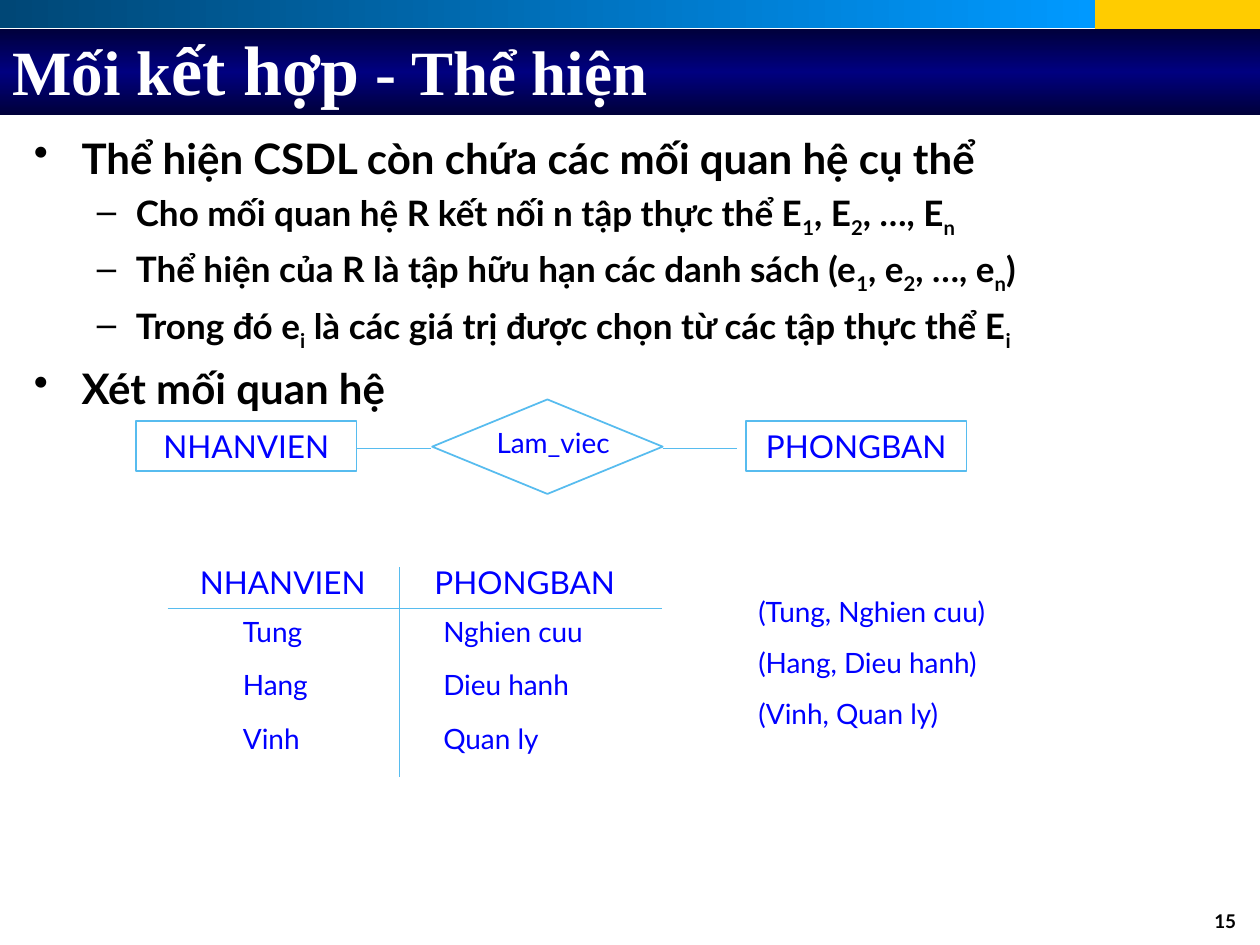
import copy
from dataclasses import dataclass
from typing import Any

import lxml.etree
import pptx
import pptx.dml.color
import pptx.enum.shapes
import pptx.enum.text
import pptx.oxml.ns
import pptx.util

Inches = pptx.util.Inches
Pt = pptx.util.Pt
RGBColor = pptx.dml.color.RGBColor
Shape = pptx.enum.shapes.MSO_SHAPE
Align = pptx.enum.text.PP_ALIGN
Anchor = pptx.enum.text.MSO_ANCHOR
qn = pptx.oxml.ns.qn

BLACK = RGBColor(0, 0, 0)
WHITE = RGBColor(255, 255, 255)
BLUE = RGBColor(0, 0, 255)
SKY = RGBColor(0x57, 0xBC, 0xEF)
GOLD = RGBColor(0xFF, 0xCC, 0)
TEAL = RGBColor(0, 0x47, 0x76)
AZURE = RGBColor(0, 0x99, 0xFF)
NIGHT = RGBColor(0, 0, 0x3B)
NAVY = RGBColor(0, 0, 0x80)

LATO = {"name": "Lato", "bold": False}
HEAD = {**LATO, "size": Pt(18)}
CELL = {**LATO, "size": Pt(16)}
TITLE = {"name": "Times New Roman", "size": Pt(36), "bold": True}
PAGE = {"name": "Lato", "size": Pt(10.8), "bold": True}


@dataclass
class Box:
    x: float
    y: float
    w: float
    h: float

    def frame(self) -> list:
        return [Inches(v) for v in (self.x, self.y, self.w, self.h)]


@dataclass
class Level:
    mark: str
    left: float
    hang: float
    gap: int
    size: int


@dataclass
class Point:
    level: int
    text: str


LEVELS = [Level("•", 0.38, 0.38, 6, 24), Level("–", 0.81, 0.31, 5, 20)]
POINTS = [
    Point(0, "Thể hiện CSDL còn chứa các mối quan hệ cụ thể"),
    Point(1, "Cho mối quan hệ R kết nối n tập thực thể E|1|, E|2|, …, E|n"),
    Point(1, "Thể hiện của R là tập hữu hạn các danh sách (e|1|, e|2|, …, e|n|)"),
    Point(1, "Trong đó e|i| là các giá trị được chọn từ các tập thực thể E|i"),
    Point(0, "Xét mối quan hệ"),
]
ROWS = [("Tung", "Nghien cuu"), ("Hang", "Dieu hanh"), ("Vinh", "Quan ly")]
TOPS = [4.83, 5.25, 5.68]


def style(font: Any, form: dict, color: RGBColor) -> None:
    for key, value in form.items():
        setattr(font, key, value)
    font.color.rgb = color


def add_run(para: Any, text: str, form: dict, color: RGBColor) -> Any:
    run = para.add_run()
    run.text = text
    style(run.font, form, color)
    return run


def add_text(parent: Any, box: Box) -> Any:
    frame = parent.add_textbox(*box.frame()).text_frame
    frame.word_wrap = True
    return frame


def write(frame: Any, lines: list, form: dict, color: RGBColor = BLUE,
          align: Any = Align.LEFT) -> None:
    for i, line in enumerate(lines):
        para = frame.add_paragraph() if i else frame.paragraphs[0]
        para.alignment = align
        if i:
            para.space_before = Pt(10)
        add_run(para, line, form, color)


def add_shape(parent: Any, kind: Any, box: Box) -> Any:
    shape = parent.add_shape(kind, *box.frame())
    shape.shadow.inherit = False
    shape.fill.background()
    shape.line.fill.background()
    return shape


def outline(parent: Any, kind: Any, box: Box) -> Any:
    shape = add_shape(parent, kind, box)
    shape.line.color.rgb = SKY
    shape.line.width = Pt(1)
    return shape


def add_line(parent: Any, x: float, y: float, w: float, h: float) -> None:
    ends = [Inches(v) for v in (x, y, x + w, y + h)]
    line = parent.add_connector(pptx.enum.shapes.MSO_CONNECTOR.STRAIGHT, *ends)
    line.line.color.rgb = SKY
    line.line.width = Pt(1)
    lxml.etree.SubElement(line._element.spPr, qn("a:effectLst"))


def add_blend(parent: Any, box: Box, colors: list, angle: int) -> None:
    shape = add_shape(parent, Shape.RECTANGLE, box)
    shape.fill.gradient()
    shape.fill.gradient_angle = angle
    stops = shape._element.spPr.find(".//" + qn("a:gsLst"))
    for _ in colors[2:]:
        stops.append(copy.deepcopy(stops[0]))
    for i, stop in enumerate(shape.fill.gradient_stops):
        stop.position = i / (len(colors) - 1)
        stop.color.rgb = colors[i]


def add_point(para: Any, point: Point, first: bool) -> None:
    level = LEVELS[point.level]
    para.level = point.level
    props = para._p.get_or_add_pPr()
    props.set("marL", str(Inches(level.left)))
    props.set("indent", str(-Inches(level.hang)))
    tint = lxml.etree.SubElement(props, qn("a:buClr"))
    lxml.etree.SubElement(tint, qn("a:srgbClr"), val=str(BLACK))
    lxml.etree.SubElement(props, qn("a:buChar"), char=level.mark)
    if not first:
        para.space_before = Pt(level.gap)
    form = {"name": "Lato", "size": Pt(level.size), "bold": True}
    for i, part in enumerate(point.text.split("|")):
        run = add_run(para, part, form, BLACK)
        if i % 2:
            run._r.get_or_add_rPr().set("baseline", "-25000")


def add_frame(shapes: Any) -> None:
    corner = add_shape(shapes, Shape.RECTANGLE, Box(8.69, 0, 1.31, 0.23))
    corner.fill.solid()
    corner.fill.fore_color.rgb = GOLD
    add_blend(shapes, Box(0, 0, 8.69, 0.22), [TEAL, AZURE], 0)
    add_blend(shapes, Box(0, 0.23, 10, 0.68), [NIGHT, NAVY, NIGHT], 90)
    write(add_text(shapes, Box(7.58, 7.17, 2.33, 0.32)), ["15"], PAGE, BLACK, Align.RIGHT)
    title = add_text(shapes, Box(0, 0.24, 9.5, 0.59))
    title.vertical_anchor = Anchor.MIDDLE
    for text, size in (("Mối k", 36), ("ết hợp", 40), (" - Thể hiện", 36)):
        add_run(title.paragraphs[0], text, {**TITLE, "size": Pt(size)}, WHITE)


def add_body(shapes: Any) -> None:
    body = add_text(shapes, Box(0.17, 1, 9.5, 5.58))
    for i, point in enumerate(POINTS):
        para = body.add_paragraph() if i else body.paragraphs[0]
        add_point(para, point, i == 0)


def add_grid(parent: Any) -> None:
    add_line(parent, 1.33, 4.83, 3.92, 0)
    add_line(parent, 3.17, 4.5, 0, 1.67)
    for x, name in ((1.33, "NHANVIEN"), (3.25, "PHONGBAN")):
        write(add_text(parent, Box(x, 4.42, 1.83, 0.4)), [name], HEAD, align=Align.CENTER)
    for y, row in zip(TOPS, ROWS):
        for x, w, text in zip((1.83, 3.42), (1.33, 1.67), row):
            write(add_text(parent, Box(x, y, w, 0.37)), [text], CELL)


def add_link(parent: Any) -> None:
    outline(parent, Shape.FLOWCHART_DECISION, Box(3.43, 3.17, 1.83, 0.75))
    write(add_text(parent, Box(3.6, 3.33, 1.58, 0.37)), ["Lam_viec"], CELL, align=Align.CENTER)
    for x in (2.83, 5.26):
        add_line(parent, x, 3.56, 0.59, 0)
    for x, name in ((1.08, "NHANVIEN"), (5.92, "PHONGBAN")):
        frame = outline(parent, Shape.RECTANGLE, Box(x, 3.34, 1.75, 0.4)).text_frame
        frame.vertical_anchor = Anchor.TOP
        write(frame, [name], HEAD, align=Align.CENTER)


def main() -> None:
    deck = pptx.Presentation()
    deck.slide_width, deck.slide_height = Inches(10), Inches(7.5)
    shapes = deck.slides.add_slide(deck.slide_layouts[6]).shapes
    add_frame(shapes)
    add_body(shapes)
    add_grid(shapes.add_group_shape().shapes)
    pairs = [f"({', '.join(row)})" for row in ROWS]
    write(add_text(shapes, Box(5.92, 4.67, 2.67, 1.18)), pairs, CELL)
    add_link(shapes.add_group_shape().shapes)
    deck.save("out.pptx")


if __name__ == "__main__":
    main()
